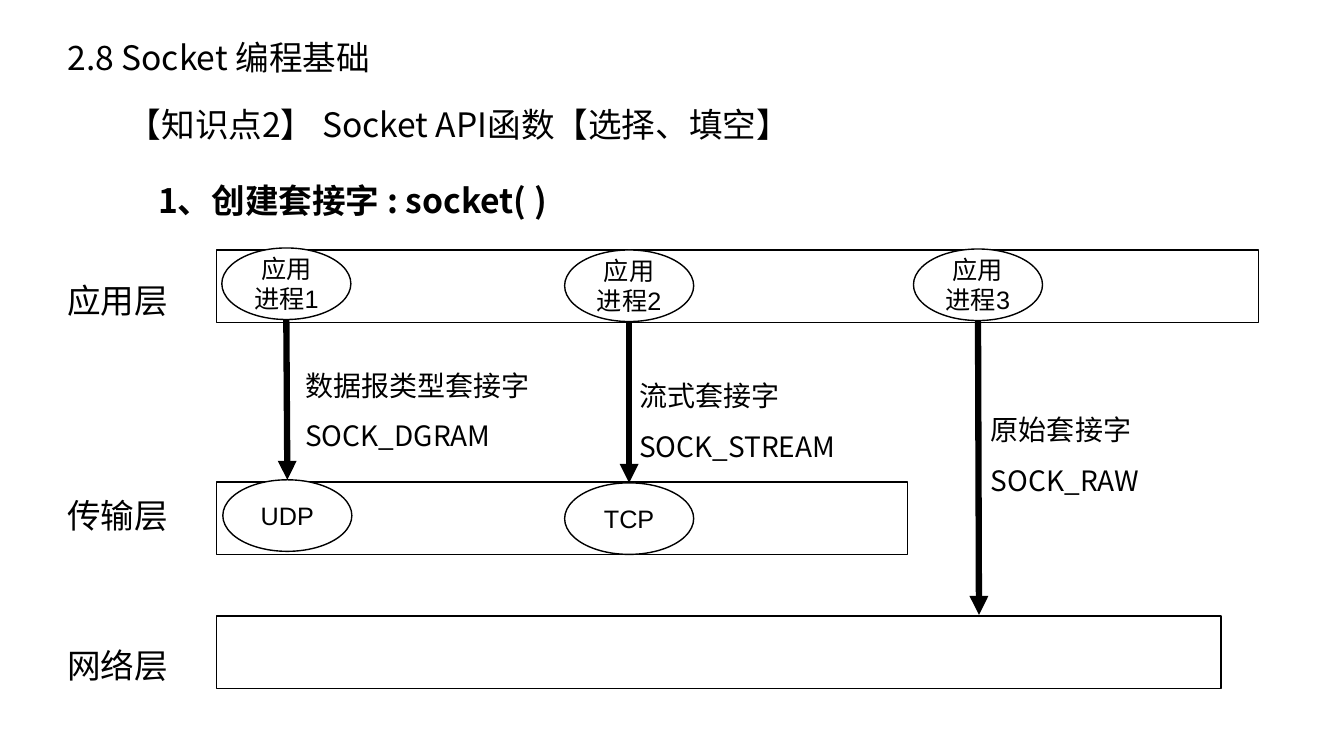
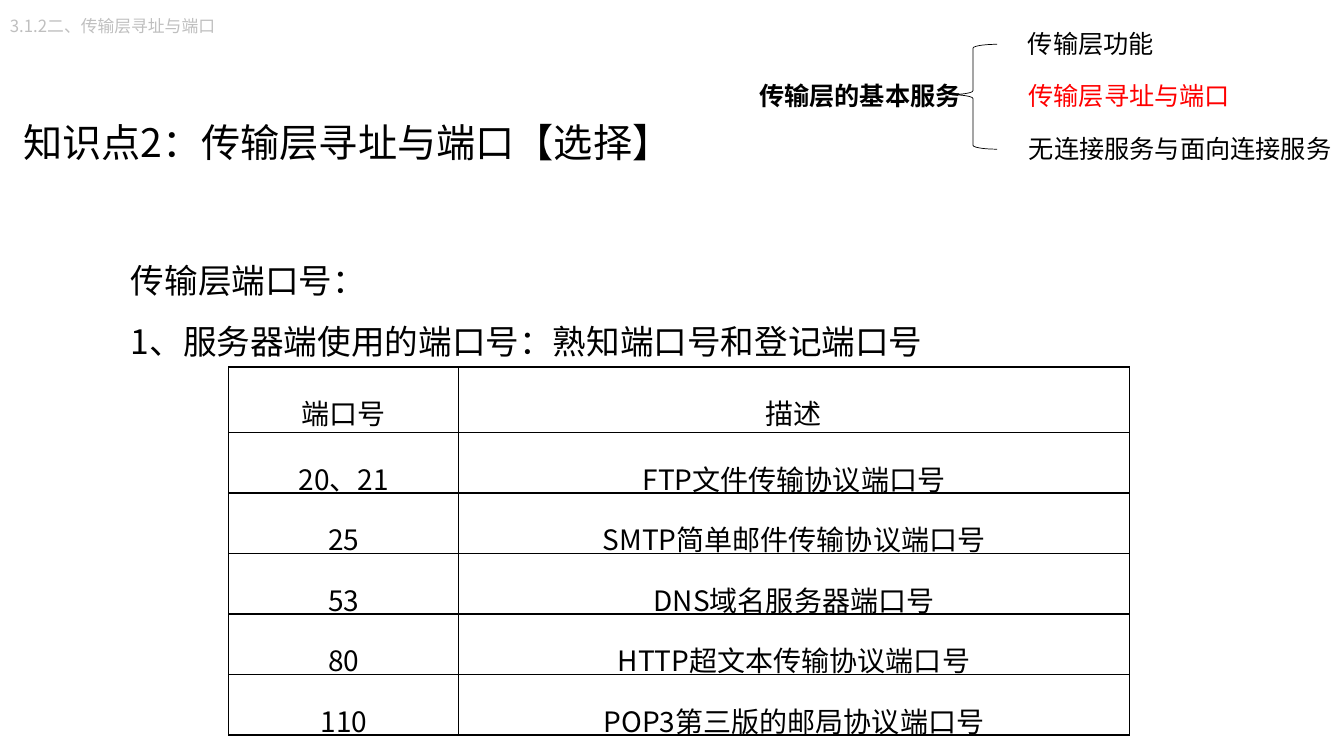
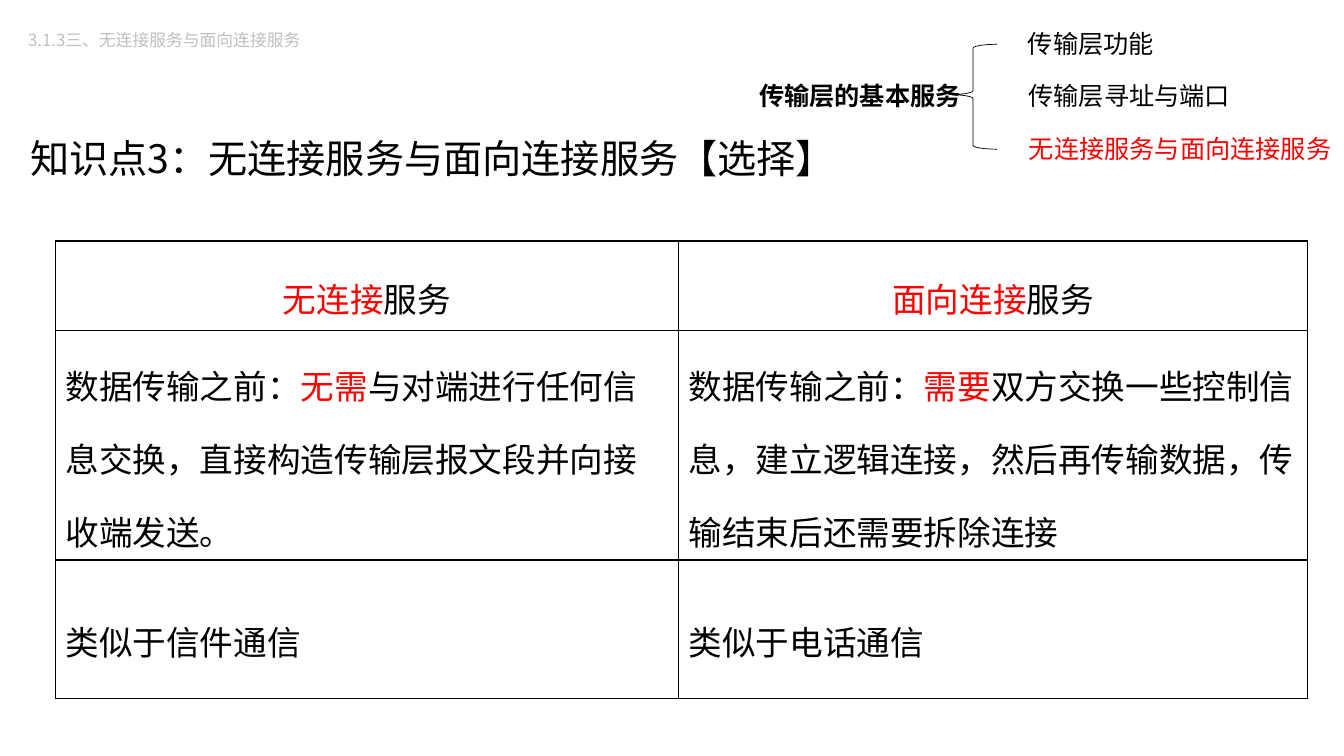
from pptx import Presentation
from pptx.dml.color import RGBColor
from pptx.enum.shapes import MSO_CONNECTOR, MSO_SHAPE
from pptx.enum.text import MSO_ANCHOR, MSO_AUTO_SIZE, PP_ALIGN
from pptx.oxml import parse_xml
from pptx.oxml.ns import nsdecls, qn
from pptx.util import Inches, Pt
from lxml import etree

RECT, OVAL, BRACE = MSO_SHAPE.RECTANGLE, MSO_SHAPE.OVAL, MSO_SHAPE.LEFT_BRACE
STRAIGHT = MSO_CONNECTOR.STRAIGHT
LEFT, CENTER = PP_ALIGN.LEFT, PP_ALIGN.CENTER
TOP, MIDDLE = MSO_ANCHOR.TOP, MSO_ANCHOR.MIDDLE
GROW, FIXED = MSO_AUTO_SIZE.SHAPE_TO_FIT_TEXT, MSO_AUTO_SIZE.NONE

CJK, LATIN = "Noto Sans CJK SC", "Arial"
BLACK, WHITE, RED, GREY = "000000", "FFFFFF", "FF0000", "BFBFBF"
TOPICS = ["传输层功能", "传输层寻址与端口", "无连接服务与面向连接服务"]
TOPIC_WIDTHS = [1.46, 2.22, 3.23]


def rgb(value):
    """Turn a hex string into a colour."""
    return RGBColor.from_string(value)


class Deck:
    """Hold the style and the current slide, and draw each kind of element."""

    def __init__(self):
        """Start a widescreen presentation."""
        self.prs = Presentation()
        self.prs.slide_width = Inches(13.33)
        self.prs.slide_height = Inches(7.5)
        self.s = None

    def slide(self):
        """Add a blank slide and make it current."""
        self.s = self.prs.slides.add_slide(self.prs.slide_layouts[6])

    def fill_text(self, tf, paragraphs, size, color=BLACK, font=CJK, bold=False,
                  align=LEFT, spacing=None):
        """Fill a text frame; a paragraph is a string or a list of (text, colour)."""
        for i, runs in enumerate(paragraphs):
            p = tf.paragraphs[0] if i == 0 else tf.add_paragraph()
            p.alignment = align
            p.line_spacing = spacing
            for text, tint in [(runs, color)] if isinstance(runs, str) else runs:
                r = p.add_run()
                r.text = text
                r.font.name = font
                r.font.size = Pt(size)
                r.font.bold = bold
                r.font.color.rgb = rgb(tint)
                ea = etree.SubElement(r.font._element, qn("a:ea"))
                ea.set("typeface", CJK)

    def text(self, x, y, w, h, paragraphs, size, wrap=True, **style):
        """Add a text box that grows with its text."""
        tf = self.s.shapes.add_textbox(Inches(x), Inches(y), Inches(w), Inches(h)).text_frame
        tf.word_wrap = wrap
        tf.auto_size = GROW
        self.fill_text(tf, paragraphs, size, **style)
        return tf

    def shape(self, kind, x, y, w, h, label=None, fill=WHITE, weight=1):
        """Add an outlined shape with an optional centred label."""
        sp = self.s.shapes.add_shape(kind, Inches(x), Inches(y), Inches(w), Inches(h))
        sp.shadow.inherit = False
        if fill:
            sp.fill.solid()
            sp.fill.fore_color.rgb = rgb(fill)
        else:
            sp.fill.background()
        sp.line.color.rgb = rgb(BLACK)
        sp.line.width = Pt(weight)
        if label:
            sp.text_frame.vertical_anchor = MIDDLE
            self.fill_text(sp.text_frame, [label], 18, font=LATIN, align=CENTER)
        return sp

    def arrow(self, x1, y1, x2, y2):
        """Add a thick arrow."""
        c = self.s.shapes.add_connector(STRAIGHT, Inches(x1), Inches(y1), Inches(x2), Inches(y2))
        c.line.color.rgb = rgb(BLACK)
        c.line.width = Pt(4.5)
        sp_pr = c._element.spPr
        etree.SubElement(sp_pr.find(qn("a:ln")), qn("a:tailEnd")).set("type", "triangle")
        etree.SubElement(sp_pr, qn("a:effectLst"))

    def table(self, x, y, widths, heights, rows, size, font=CJK, anchor=TOP, body=CENTER):
        """Add a plain table with thin black borders and a centred first row."""
        frame = self.s.shapes.add_table(len(rows), len(widths), Inches(x), Inches(y),
                                        Inches(sum(widths)), Inches(sum(heights)))
        table = frame.table
        table.first_row = table.horz_banding = False
        for col, width in zip(table.columns, widths):
            col.width = Inches(width)
        for i, (cells, height) in enumerate(zip(rows, heights)):
            table.rows[i].height = Inches(height)
            for j, content in enumerate(cells):
                cell = table.cell(i, j)
                cell.fill.background()
                cell.vertical_anchor = anchor
                self.fill_text(cell.text_frame, [content], size, font=font,
                               align=body if i else CENTER, spacing=1.5)
                self.borders(cell)

    def borders(self, cell):
        """Draw a line on each side of a cell."""
        tc_pr = cell._tc.get_or_add_tcPr()
        for i, side in enumerate(("lnL", "lnR", "lnT", "lnB")):
            tc_pr.insert(i, parse_xml(
                f'<a:{side} {nsdecls("a")} w="{Pt(1)}"><a:solidFill>'
                f'<a:srgbClr val="{BLACK}"/></a:solidFill></a:{side}>'))

    def heading(self, x, y, w, title):
        """Add the large heading of a knowledge point."""
        tf = self.text(x, y, w, 1.04, [title], 28, spacing=1.5)
        tf.auto_size = FIXED
        tf.vertical_anchor = MIDDLE
        tf.margin_left = tf.margin_right = Inches(0.12)
        tf.margin_top = tf.margin_bottom = Inches(0.06)

    def section(self, x, y, w, title):
        """Add the small grey section mark."""
        self.text(x, y, w, 0.3, [title], 12, wrap=False, color=GREY)

    def outline(self, current):
        """Add the topic tree with the current topic in red."""
        brace = self.shape(BRACE, 9.41, 0.44, 0.48, 1.04, fill=None, weight=0.5)
        brace.adjustments[0] = 0.08
        brace.adjustments[1] = 0.48
        self.text(7.43, 0.75, 2.24, 0.4, ["传输层的基本服务"], 18, wrap=False, bold=True)
        for i, (topic, width) in enumerate(zip(TOPICS, TOPIC_WIDTHS)):
            self.text(10.09, 0.31 + 0.52 * i, width, 0.33, [topic], 18, wrap=False,
                      color=RED if i == current else BLACK, align=CENTER, spacing=Pt(16))


def socket_slide(deck):
    """Build the slide on socket types and layers."""
    deck.slide()
    deck.text(1.17, 0.98, 6.97, 0.5, ["【知识点2】 Socket API函数【选择、填空】"], 24)
    deck.text(0.57, 0.32, 4.08, 0.5, ["2.8 Socket 编程基础"], 24)
    deck.text(1.47, 1.54, 9.23, 0.64, ["1、创建套接字 : socket( )"], 24, bold=True, spacing=1.5)
    for layer, label_y, bar_y, width in [("应用层", 2.53, 2.48, 10.33),
                                         ("传输层", 4.66, 4.78, 6.85),
                                         ("网络层", 6.15, 6.11, 9.96)]:
        deck.text(0.57, label_y, 1.24, 0.64, [layer], 24, spacing=1.5)
        deck.shape(RECT, 2.15, bar_y, width, 0.72)
    for x, y, label in [(2.2, 2.46, "应用进程1"), (5.6, 2.48, "应用进程2"),
                        (9.06, 2.47, "应用进程3"), (2.21, 4.76, "UDP"), (5.6, 4.79, "TCP")]:
        deck.shape(OVAL, x, y, 1.28, 0.71, label)
    for ends in [(2.84, 3.17, 2.85, 4.76), (6.24, 3.19, 6.24, 4.79), (9.7, 3.18, 9.71, 6.1)]:
        deck.arrow(*ends)
    for x, y, w, wrap, kind, constant in [
            (2.93, 3.44, 2.84, True, "数据报类型套接字", "SOCK_DGRAM"),
            (6.24, 3.54, 2.22, False, "流式套接字", "SOCK_STREAM"),
            (9.73, 3.88, 1.74, False, "原始套接字", "SOCK_RAW")]:
        deck.text(x, y, w, 1.05, [kind, constant], 20, wrap=wrap, spacing=1.5)


def port_slide(deck):
    """Build the slide on transport layer ports."""
    deck.slide()
    deck.text(1.2, 2.33, 10.94, 1.31,
              ["传输层端口号：", "1、服务器端使用的端口号：熟知端口号和登记端口号"], 24, spacing=1.5)
    deck.outline(1)
    deck.section(0, 0.11, 2.31, "3.1.2二、传输层寻址与端口")
    deck.heading(0.11, 0.77, 7.12, "知识点2：传输层寻址与端口【选择】")
    ports = [("端口号", "描述"),
             ("20、21", "FTP文件传输协议端口号"),
             ("25", "SMTP简单邮件传输协议端口号"),
             ("53", "DNS域名服务器端口号"),
             ("80", "HTTP超文本传输协议端口号"),
             ("110", "POP3第三版的邮局协议端口号")]
    deck.table(2.27, 3.64, [2.28, 6.65], [0.65] + [0.41] * 5, ports, 20)


def service_slide(deck):
    """Build the slide comparing the two kinds of service."""
    deck.slide()
    services = [
        ([("无连接", RED), ("服务", BLACK)], [("面向连接", RED), ("服务", BLACK)]),
        ([("数据传输之前：", BLACK), ("无需", RED),
          ("与对端进行任何信息交换，直接构造传输层报文段并向接收端发送。", BLACK)],
         [("数据传输之前：", BLACK), ("需要", RED),
          ("双方交换一些控制信息，建立逻辑连接，然后再传输数据，传输结束后还需要拆除连接", BLACK)]),
        ("类似于信件通信", "类似于电话通信")]
    deck.table(0.55, 2.39, [6.18, 6.24], [0.89, 1.37, 1.37], services, 24,
               font=LATIN, anchor=MIDDLE, body=LEFT)
    deck.outline(2)
    deck.section(0.18, 0.25, 2.98, "3.1.3三、无连接服务与面向连接服务")
    deck.heading(0.18, 0.93, 8.44, "知识点3：无连接服务与面向连接服务【选择】")


def main():
    """Build and save the presentation."""
    deck = Deck()
    socket_slide(deck)
    port_slide(deck)
    service_slide(deck)
    deck.prs.save("out.pptx")


if __name__ == "__main__":
    main()
